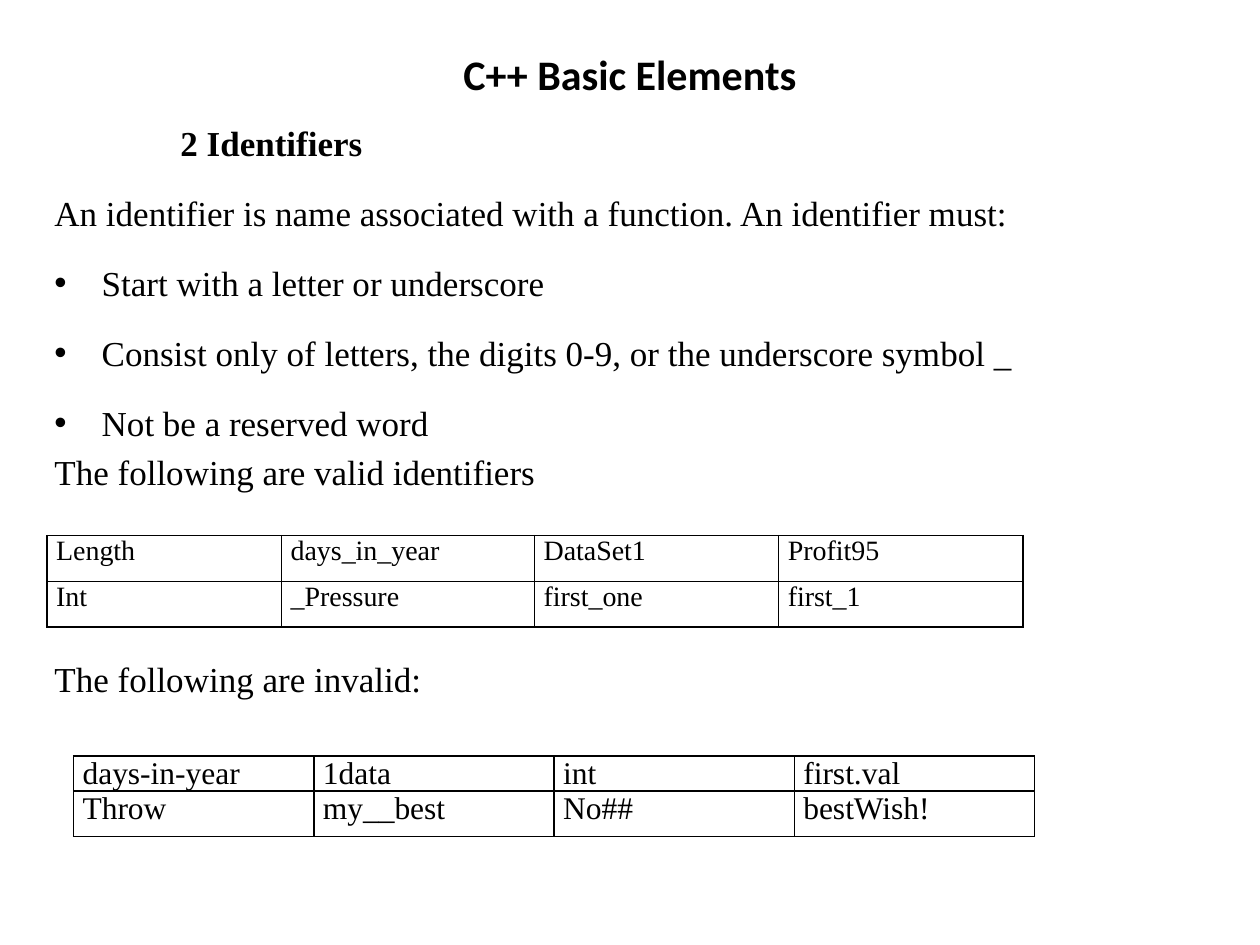
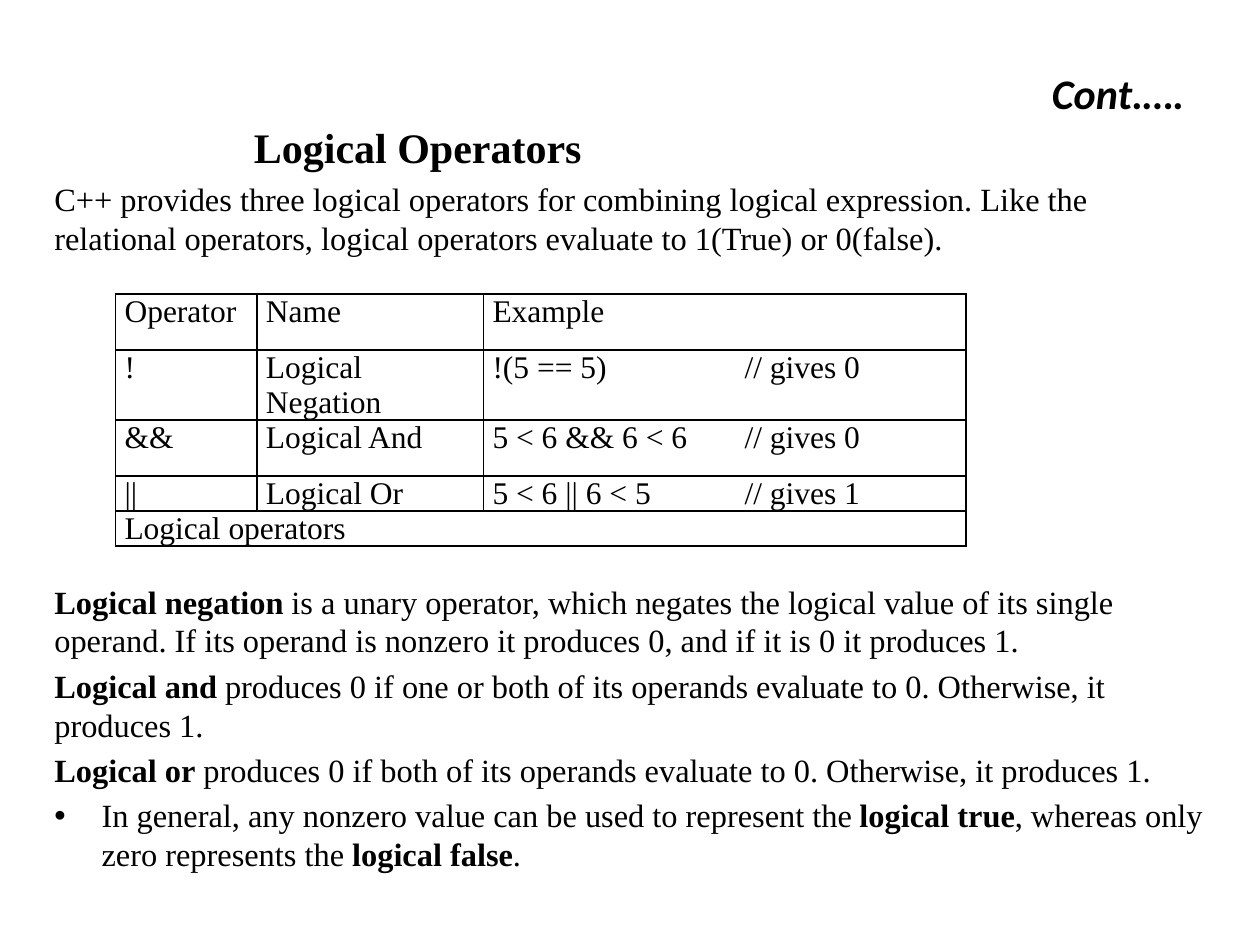
import pptx
import pptx.dml.color
import pptx.enum.text
import pptx.oxml
import pptx.oxml.ns
import pptx.util

Pt = pptx.util.Pt
ALIGN = pptx.enum.text.PP_ALIGN
ANCHOR = pptx.enum.text.MSO_ANCHOR
TITLE_ONLY = 5
INK = "000000"
TITLE_FONT = "Calibri"
BODY_FONT = "Times New Roman"
TITLE_BOX = (36, 21.6, 648, 62.6)
BULLET_INDENT = 27
EXAMPLE_TAB = 144


def color(hex_text):
    return pptx.dml.color.RGBColor.from_string(hex_text)


def set_attributes(target, values):
    for name, value in values.items():
        setattr(target, name, value)


def place(shape, box):
    lengths = map(Pt, box)
    set_attributes(shape, dict(zip(("left", "top", "width", "height"), lengths)))


def add_xml(parent, tag, content="", **attributes):
    """Append a DrawingML element with the given attributes and inner XML."""
    pairs = " ".join(f'{name}="{value}"' for name, value in attributes.items())
    namespace = pptx.oxml.ns.nsdecls("a")
    parent.append(pptx.oxml.parse_xml(
        f"<a:{tag} {namespace} {pairs}>{content}</a:{tag}>"))


def add_run(paragraph, text, size, font=BODY_FONT, bold=False, italic=False):
    run = paragraph.add_run()
    run.text = text
    set_attributes(run.font, {"name": font, "size": Pt(size),
                              "bold": bold, "italic": italic})
    run.font.color.rgb = color(INK)


def add_title(slide, text, alignment, anchor, margin_top=3.6, italic=False):
    title = slide.shapes.title
    place(title, TITLE_BOX)
    frame = title.text_frame
    set_attributes(frame, {"vertical_anchor": anchor, "word_wrap": True,
                           "margin_top": Pt(margin_top)})
    paragraph = frame.paragraphs[0]
    paragraph.alignment = alignment
    add_run(paragraph, text, 24, TITLE_FONT, bold=True, italic=italic)


def format_paragraph(paragraph, before=0, spacing=1.0, indent=0, bullet=False,
                     alignment=ALIGN.LEFT):
    properties = paragraph._p.get_or_add_pPr()
    if bullet:
        properties.set("marL", str(Pt(BULLET_INDENT)))
        properties.set("indent", str(-Pt(BULLET_INDENT)))
        add_xml(properties, "buFont", typeface="Arial")
        add_xml(properties, "buChar", char="•")
    elif indent:
        properties.set("marL", str(Pt(indent)))
    set_attributes(paragraph, {"alignment": alignment, "line_spacing": spacing,
                               "space_before": Pt(before)})


def add_body(slide, box, size, paragraphs):
    """Each paragraph is (text, format); text between ** marks is bold."""
    text_box = slide.shapes.add_textbox(*map(Pt, box))
    frame = text_box.text_frame
    frame.word_wrap = True
    for index, (text, layout) in enumerate(paragraphs):
        paragraph = frame.add_paragraph() if index else frame.paragraphs[0]
        layout = dict(layout)
        run_size = layout.pop("size", size)
        format_paragraph(paragraph, **layout)
        for part, words in enumerate(text.split("**")):
            if words:
                add_run(paragraph, words, run_size, bold=part % 2 == 1)


def add_borders(cell):
    properties = cell._tc.get_or_add_tcPr()
    fill = f'<a:solidFill><a:srgbClr val="{INK}"/></a:solidFill>'
    for side in ("lnL", "lnR", "lnT", "lnB"):
        add_xml(properties, side, fill, w=Pt(1))


def fill_cell(cell, text, size, line_height):
    add_borders(cell)
    cell.fill.background()
    set_attributes(cell, {"margin_left": Pt(5.2), "margin_right": Pt(5.2),
                          "margin_top": 0, "margin_bottom": 0})
    paragraph = cell.text_frame.paragraphs[0]
    if "\t" in text:
        stop = f'<a:tab pos="{Pt(EXAMPLE_TAB)}" algn="l"/>'
        add_xml(paragraph._p.get_or_add_pPr(), "tabLst", stop)
    set_attributes(paragraph, {"alignment": ALIGN.JUSTIFY,
                               "line_spacing": line_height})
    if text:
        add_run(paragraph, text, size)


def add_grid(slide, left, top, widths, heights, rows, size, line_height=1.0):
    frame = slide.shapes.add_table(len(rows), len(widths), Pt(left), Pt(top),
                                   Pt(sum(widths)), Pt(sum(heights)))
    table = frame.table
    set_attributes(table, {"first_row": False, "horz_banding": False})
    for column, width in zip(table.columns, widths):
        column.width = Pt(width)
    for row, height, texts in zip(table.rows, heights, rows):
        row.height = Pt(height)
        for cell, text in zip(row.cells, texts):
            fill_cell(cell, text, size, line_height)
    return table


def build_identifiers(slide):
    add_title(slide, "C++ Basic Elements", ALIGN.CENTER, ANCHOR.TOP, margin_top=6.2)
    rule = {"before": 4, "spacing": 1.5, "bullet": True}
    add_body(slide, (24, 65.8, 672, 452), 20, [
        ("**2 Identifiers**", {"indent": 72}),
        ("An identifier is name associated with a function. An identifier must:",
         {"before": 4, "spacing": 1.5, "alignment": ALIGN.JUSTIFY}),
        ("Start with a letter or underscore", rule),
        ("Consist only of letters, the digits 0-9, or the underscore symbol _", rule),
        ("Not be a reserved word", rule),
        ("The following are valid identifiers", {"before": 4}),
        ("The following are invalid:", {"before": 94.2, "alignment": ALIGN.JUSTIFY}),
    ])
    add_grid(slide, 26.9, 306, [134, 144.6, 139.5, 139.5], [26.2, 26.2], [
        ["Length", "days_in_year", "DataSet1", "Profit95"],
        ["Int", "_Pressure", "first_one", "first_1"],
    ], 16)
    add_grid(slide, 42, 432, [137.3] * 4, [20, 26], [
        ["days-in-year", "1data", "int", "first.val"],
        ["Throw", "my__best", "No##", "bestWish!"],
    ], 18, Pt(20))


def build_logical_operators(slide):
    add_title(slide, "Cont.….", ALIGN.RIGHT, ANCHOR.MIDDLE, italic=True)
    plain = {"before": 3.7}
    add_body(slide, (24, 66.2, 678, 452), 18.5, [
        ("**Logical Operators**", {"indent": 114, "size": 24}),
        ("C++ provides three logical operators for combining logical expression. "
         "Like the relational operators, logical operators evaluate to 1(True) "
         "or 0(false).", plain),
        ("**Logical negation** is a unary operator, which negates the logical "
         "value of its single operand. If its operand is nonzero it produces 0, "
         "and if it is 0 it produces 1.", {"before": 185.7}),
        ("**Logical and** produces 0 if one or both of its operands evaluate to 0. "
         "Otherwise, it produces 1.", plain),
        ("**Logical or** produces 0 if both of its operands evaluate to 0. "
         "Otherwise, it produces 1.", plain),
        ("In general, any nonzero value can be used to represent the "
         "**logical true**, whereas only zero represents the **logical false**.",
         {**plain, "bullet": True}),
    ])
    table = add_grid(slide, 66, 168, [80.8, 129.5, 275.7], [32, 40, 32, 20, 20], [
        ["Operator", "Name", "Example"],
        ["!", "Logical Negation", "!(5 == 5)\t// gives 0"],
        ["&&", "Logical And", "5 < 6 && 6 < 6\t// gives 0"],
        ["||", "Logical Or", "5 < 6 || 6 < 5\t// gives 1"],
        ["Logical operators", "", ""],
    ], 18, Pt(20))
    table.cell(4, 0).merge(table.cell(4, 2))


def main():
    presentation = pptx.Presentation()
    set_attributes(presentation, {"slide_width": Pt(720), "slide_height": Pt(540)})
    layout = presentation.slide_layouts[TITLE_ONLY]
    for build in (build_identifiers, build_logical_operators):
        build(presentation.slides.add_slide(layout))
    presentation.save("out.pptx")


if __name__ == "__main__":
    main()
